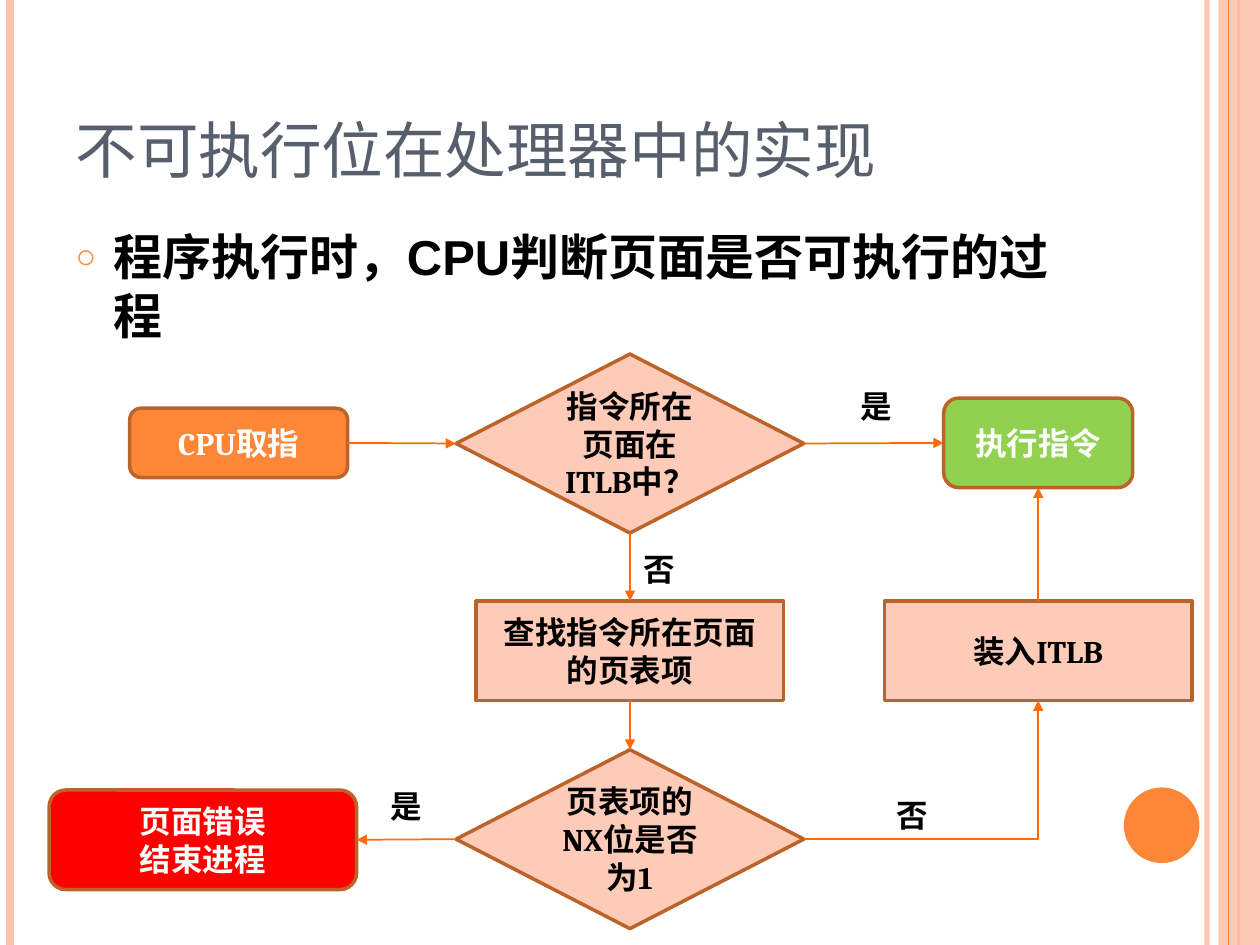
from lxml import etree
from pptx import Presentation
from pptx import util as u
from pptx.dml.color import RGBColor
from pptx.enum import shapes, text
from pptx.oxml.ns import qn

ORANGE, PALE, BORDER, ARROW = "FE8637", "FEC3AE", "BC6329", "FF6B0A"
BOX_FILL, WHITE, BLACK = "FECBB8", "FFFFFF", "000000"


def paint(color_format, color, alpha=None):
    """Set a solid fill's or font's colour, with optional opacity in percent."""
    if hasattr(color_format, "solid"):
        color_format.solid()
        target = color_format.fore_color
    else:
        target = color_format.color
    target.rgb = RGBColor.from_string(color)
    if alpha:
        srgb = next(color_format._xPr.iter(qn("a:srgbClr")))
        etree.SubElement(srgb, qn("a:alpha")).set("val", str(alpha * 1000))


def add_line(kind, start, end, color, width, alpha=None):
    line = page.shapes.add_connector(kind, *[u.Inches(n) for n in start + end])
    paint(line.line.fill, color, alpha)
    line.line.width = u.Pt(width)
    etree.SubElement(line._element.spPr, qn("a:effectLst"))
    return line


deck = Presentation()
deck.slide_width, deck.slide_height = u.Inches(10), u.Inches(7.5)
page = deck.slides.add_slide(deck.slide_layouts[1])
STRAIGHT, ELBOW = shapes.MSO_CONNECTOR.STRAIGHT, shapes.MSO_CONNECTOR.ELBOW
KIND = shapes.MSO_SHAPE

# Side stripes and page-number disc
for x, color, width, alpha in [(9.58, PALE, 3, 93), (0.08, PALE, 4.5, None), (9.83, ORANGE, 1.5, None)]:
    add_line(STRAIGHT, (x, 0), (x, 7.5), color, width, alpha)
for kind, place, color, alpha in [
    (KIND.RECTANGLE, (9.67, 0, 0.33, 7.5), PALE, 87),
    (KIND.OVAL, (8.92, 6.25, 0.6, 0.6), ORANGE, None),
]:
    ornament = page.shapes.add_shape(kind, *[u.Inches(n) for n in place])
    ornament.shadow.inherit = False
    paint(ornament.fill, color, alpha)
    ornament.line.fill.background()
add_line(STRAIGHT, (9.75, 0), (9.75, 7.5), ORANGE, 0.75)

# Title and body
title, body = page.shapes.title, page.placeholders[1]
for holder, top, height, anchor, words, size, face, color in [
    (title, 0.3, 1.25, text.MSO_ANCHOR.BOTTOM, "不可执行位在处理器中的实现", 44, "Cambria", "575F6D"),
    (body, 1.75, 5.33, text.MSO_ANCHOR.TOP, "程序执行时，CPU判断页面是否可执行的过程", 28, "Arial", BLACK),
]:
    holder.left, holder.top = u.Inches(0.5), u.Inches(top)
    holder.width, holder.height = u.Inches(8.17), u.Inches(height)
    frame = holder.text_frame
    frame.text = words
    frame.vertical_anchor = anchor
    para = frame.paragraphs[0]
    para.alignment = text.PP_ALIGN.LEFT
    para.space_before = u.Pt(0)
    font = para.runs[0].font
    font.size, font.name, font.bold = u.Pt(size), face, holder is body
    paint(font.fill, color)
title.text_frame.paragraphs[0].runs[0].font._element.set("cap", "small")

props = body.text_frame.paragraphs[0]._p.get_or_add_pPr()
props.set("marL", str(u.Inches(0.3)))
props.set("indent", str(u.Inches(-0.3)))
bullet_color = etree.SubElement(props, qn("a:buClr"))
etree.SubElement(bullet_color, qn("a:srgbClr")).set("val", ORANGE)
etree.SubElement(props, qn("a:buSzPct")).set("val", "70000")
etree.SubElement(props, qn("a:buChar")).set("char", "○")

# Flowchart steps
DIAMOND, STEP = (2.76, 1.42), (2.44, 0.79)
steps = {}
for name, kind, corner, size, fill, color, words in [
    ("fetch", KIND.ROUNDED_RECTANGLE, (1.03, 3.24), (1.73, 0.55), ORANGE, WHITE, "CPU取指"),
    ("in_itlb", KIND.FLOWCHART_DECISION, (3.62, 2.81), DIAMOND, BOX_FILL, BLACK, "指令所在页面在ITLB中？"),
    ("execute", KIND.ROUNDED_RECTANGLE, (7.49, 3.16), (1.5, 0.71), "92D050", WHITE, "执行指令"),
    ("lookup", KIND.RECTANGLE, (3.78, 4.77), STEP, BOX_FILL, BLACK, "查找指令所在页面的页表项"),
    ("nx_set", KIND.FLOWCHART_DECISION, (3.62, 5.95), DIAMOND, BOX_FILL, BLACK, "页表项的NX位是否为1"),
    ("load", KIND.RECTANGLE, (7.02, 4.77), STEP, BOX_FILL, BLACK, "装入ITLB"),
    ("fault", KIND.ROUNDED_RECTANGLE, (0.39, 6.27), STEP, "FF0000", WHITE, "页面错误\n结束进程"),
]:
    box = page.shapes.add_shape(kind, *[u.Inches(n) for n in corner + size])
    box.shadow.inherit = False
    paint(box.fill, fill)
    paint(box.line.fill, BORDER)
    box.line.width = u.Pt(2)
    box.text_frame.text = words
    box.text_frame.vertical_anchor = text.MSO_ANCHOR.MIDDLE
    for para in box.text_frame.paragraphs:
        para.alignment = text.PP_ALIGN.CENTER
        font = para.runs[0].font
        font.size, font.name, font.bold = u.Pt(18), "Cambria", True
        paint(font.fill, color)
    steps[name] = box

# Arrows between steps
TOP, LEFT, BOTTOM, RIGHT = range(4)
for kind, source, out_side, target, in_side in [
    (STRAIGHT, "fetch", RIGHT, "in_itlb", LEFT),
    (STRAIGHT, "in_itlb", RIGHT, "execute", LEFT),
    (STRAIGHT, "in_itlb", BOTTOM, "lookup", TOP),
    (STRAIGHT, "nx_set", LEFT, "fault", RIGHT),
    (STRAIGHT, "lookup", BOTTOM, "nx_set", TOP),
    (ELBOW, "nx_set", RIGHT, "load", BOTTOM),
    (STRAIGHT, "load", TOP, "execute", BOTTOM),
]:
    arrow = add_line(kind, (0, 0), (0, 0), ARROW, 1)
    arrow.begin_connect(steps[source], out_side)
    arrow.end_connect(steps[target], in_side)
    etree.SubElement(arrow.line._get_or_add_ln(), qn("a:tailEnd")).set("type", "triangle")
    if kind == ELBOW:
        arrow._element.spPr.find(qn("a:prstGeom")).set("prst", "bentConnector2")

# Branch labels
for words, left, top in [("是", 6.73, 3.02), ("否", 5.01, 4.32), ("是", 3, 6.2), ("否", 7.02, 6.27)]:
    label = page.shapes.add_textbox(u.Inches(left), u.Inches(top), u.Inches(0.45), u.Inches(0.4))
    label.text_frame.text = words
    label.text_frame.word_wrap = words == "是"
    label.text_frame.auto_size = text.MSO_AUTO_SIZE.SHAPE_TO_FIT_TEXT
    font = label.text_frame.paragraphs[0].runs[0].font
    font.size, font.name, font.bold = u.Pt(18), "Cambria", True
    paint(font.fill, BLACK)

deck.save("out.pptx")
